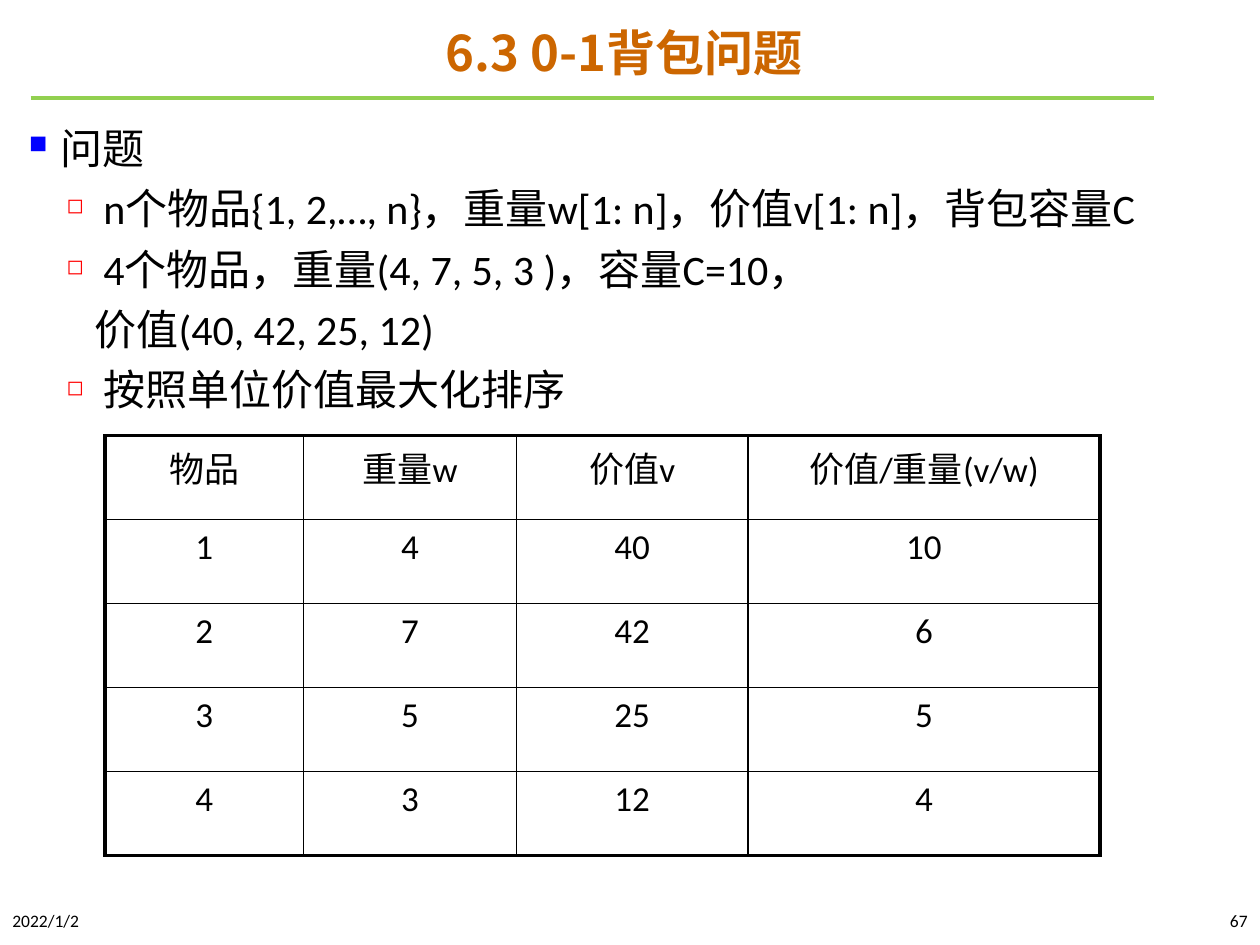
"""Build the 0-1 knapsack problem slide."""
from lxml.etree import SubElement
from pptx import Presentation
from pptx.dml.color import RGBColor
from pptx.enum.shapes import MSO_CONNECTOR as Connector
from pptx.enum.text import MSO_ANCHOR as Anchor, PP_ALIGN as Align
from pptx.oxml import parse_xml
from pptx.oxml.ns import nsdecls, qn
from pptx.util import Pt


def color(value):
    return RGBColor.from_string(value)


def write(para, text, size, latin="Calibri", asian="Calibri", ink="000000", bold=False):
    para.text = text
    for span in para.runs:
        font = span.font
        font.name, font.size, font.bold = latin, Pt(size), bold
        font.color.rgb = color(ink)
        SubElement(font._element, qn("a:ea")).set("typeface", asian)


CJK = "Noto Sans CJK SC"

deck = Presentation()
deck.slide_width, deck.slide_height = Pt(720), Pt(540)
page = deck.slides.add_slide(deck.slide_layouts[6])

rule = page.shapes.add_connector(Connector.STRAIGHT, Pt(17.5), Pt(56), Pt(659.5), Pt(56))
rule.line.color.rgb = color("92D050")
rule.line.width = Pt(2.25)
SubElement(rule._element.spPr, qn("a:effectLst"))

title = page.shapes.add_textbox(Pt(46), Pt(7), Pt(621), Pt(49)).text_frame
title.word_wrap = True
title.vertical_anchor = Anchor.MIDDLE
para = title.paragraphs[0]
para.alignment = Align.CENTER
para.line_spacing = 0.9
write(para, "6.3 0-1背包问题", 28, CJK, CJK, "CC6600", True)

# text, level, left margin, first-line indent, bullet (character, colour, percent)
square = ("■", "0000FF", 60)
hollow = ("◻", "FF0000", 50)
points = [
    ("问题", 0, 18, -18, square),
    ("n个物品{1, 2,…, n}，重量w[1: n]，价值v[1: n]，背包容量C", 1, 42.5, -21, hollow),
    ("4个物品，重量(4, 7, 5, 3 )，容量C=10，", 1, 42.5, -21, hollow),
    ("价值(40, 42, 25, 12)", 1, 37.5, 0, None),
    ("按照单位价值最大化排序", 1, 42.5, -21, hollow),
]
body = page.shapes.add_textbox(Pt(9.5), Pt(60.5), Pt(700.5), Pt(454)).text_frame
body.word_wrap = True
for index, (text, level, margin, indent, bullet) in enumerate(points):
    para = body.add_paragraph() if index else body.paragraphs[0]
    para.level = level
    para.line_spacing = 1.2
    props = para._p.get_or_add_pPr()
    props.set("marL", str(Pt(margin)))
    props.set("indent", str(Pt(indent)))
    if bullet:
        char, ink, percent = bullet
        SubElement(SubElement(props, qn("a:buClr")), qn("a:srgbClr")).set("val", ink)
        SubElement(props, qn("a:buSzPct")).set("val", str(percent * 1000))
        SubElement(props, qn("a:buChar")).set("char", char)
    else:
        SubElement(props, qn("a:buNone"))
    write(para, text, 24)

rows = [
    ("物品", "重量w", "价值v", "价值/重量(v/w)"),
    ("1", "4", "40", "10"),
    ("2", "7", "42", "6"),
    ("3", "5", "25", "5"),
    ("4", "3", "12", "4"),
]
widths = [113.5, 121.5, 132.5, 201]
last_row, last_col = len(rows) - 1, len(widths) - 1
table = page.shapes.add_table(
    len(rows), len(widths), Pt(60), Pt(249), Pt(sum(widths)), Pt(48 * len(rows))
).table
table.first_row = table.horz_banding = False
for column, width in zip(table.columns, widths):
    column.width = Pt(width)
for r, row in enumerate(rows):
    table.rows[r].height = Pt(48)
    for c, text in enumerate(row):
        cell = table.cell(r, c)
        cell.fill.background()
        para = cell.text_frame.paragraphs[0]
        para.alignment = Align.CENTER
        write(para, text, 20, asian=CJK)
        outer = {"L": c == 0, "R": c == last_col, "T": r == 0, "B": r == last_row}
        for place, (side, is_outer) in enumerate(outer.items()):
            border = parse_xml(
                f'<a:ln{side} {nsdecls("a")} w="{Pt(2.25 if is_outer else 1)}">'
                f'<a:solidFill><a:srgbClr val="000000"/></a:solidFill></a:ln{side}>'
            )
            cell._tc.get_or_add_tcPr().insert(place, border)

for text, left, align in [("2022/1/2", 0, Align.LEFT), ("67", 558, Align.RIGHT)]:
    footer = page.shapes.add_textbox(Pt(left), Pt(514), Pt(162), Pt(24.5)).text_frame
    footer.word_wrap = True
    footer.vertical_anchor = Anchor.MIDDLE
    footer.paragraphs[0].alignment = align
    write(footer.paragraphs[0], text, 10)

deck.save("out.pptx")
